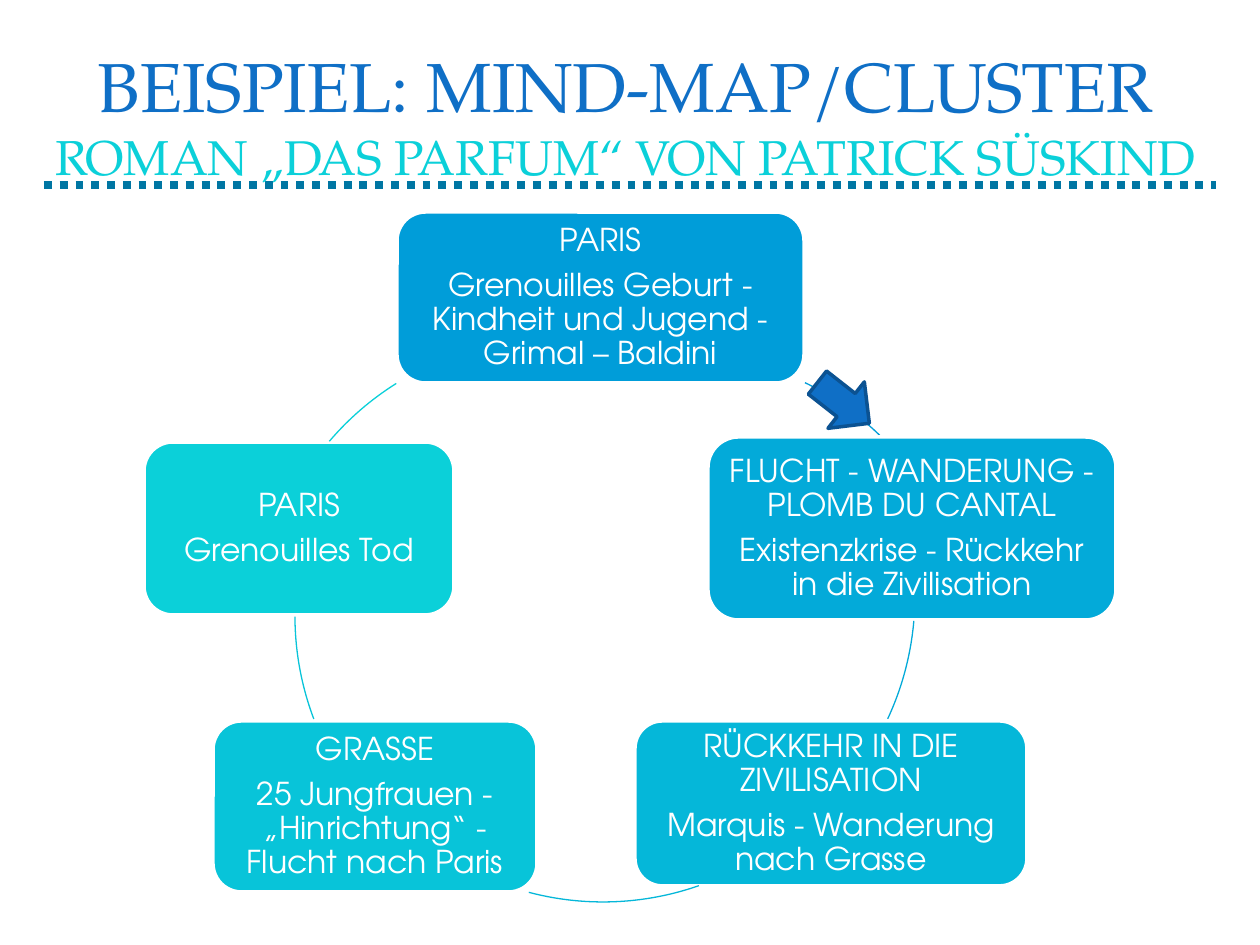
"""Builds a slide with a circular mind map of the novel's stations."""
from math import atan2, degrees

from lxml.etree import SubElement
from pptx import Presentation
from pptx.dml.color import RGBColor
from pptx.enum.dml import MSO_LINE
from pptx.enum.shapes import MSO_CONNECTOR, MSO_SHAPE
from pptx.enum.text import MSO_ANCHOR, PP_ALIGN
from pptx.oxml.ns import qn
from pptx.util import Emu, Pt

TITLE = [("BEISPIEL: MIND-MAP/CLUSTER", "title"),
         ("ROMAN „DAS PARFUM“ VON PATRICK SÜSKIND", "subtitle")]
TITLE_BOX = (25, 45, 1201, 139)
RULE = (44, 185, 1216, 185)
ARROW_BOX = (814, 370, 59, 66)
ARROW_ROTATION = 308.1
RING_SIZE = 582

STATIONS = [
    {"heading": "PARIS",
     "detail": "Grenouilles Geburt - Kindheit und Jugend - Grimal – Baldini",
     "color": "009DD9", "box": (397, 212, 407, 171),
     "ring": (386, 353), "arc": ((805, 383), (880, 435))},
    {"heading": "FLUCHT - WANDERUNG - PLOMB DU CANTAL",
     "detail": "Existenzkrise - Rückkehr in die Zivilisation",
     "color": "03AAD9", "box": (708, 437, 408, 183),
     "ring": (333, 305), "arc": ((915, 621), (888, 719))},
    {"heading": "RÜCKKEHR IN DIE ZIVILISATION",
     "detail": "Marquis - Wanderung nach Grasse",
     "color": "05B7D9", "box": (635, 721, 392, 165),
     "ring": (312, 320), "arc": ((699, 886), (529, 892))},
    {"heading": "GRASSE",
     "detail": "25 Jungfrauen - „Hinrichtung“ - Flucht nach Paris",
     "color": "08C4D9", "box": (213, 721, 324, 171),
     "ring": (295, 325), "arc": ((314, 719), (295, 616))},
    {"heading": "PARIS", "detail": "Grenouilles Tod",
     "color": "0BD0D9", "box": (144, 442, 310, 173),
     "ring": (260, 339), "arc": ((329, 441), (396, 383))},
]

THEME = {
    "title": {"name": "TeX Gyre Pagella", "size": Pt(39.6), "color": "0F6FC6"},
    "subtitle": {"name": "TeX Gyre Pagella", "size": Pt(27.9), "color": "0BD0D9"},
    "station": {"name": "TeX Gyre Adventor", "size": Pt(18), "color": "FFFFFF"},
    "rule": "0076A3", "border": "FFFFFF",
    "arrow": "0F6FC6", "arrow_border": "0B5292",
}


def px(value):
    return Emu(round(value * 914400 / 126))


def set_values(target, **values):
    for name, value in values.items():
        setattr(target, name, value)


def style_line(line, color, width):
    line.color.rgb = RGBColor.from_string(color)
    line.width = Pt(width)


def add_run(paragraph, text, style):
    run = paragraph.add_run()
    run.text = text
    set_values(run.font, name=style["name"], size=style["size"])
    run.font.color.rgb = RGBColor.from_string(style["color"])


def add_filled_shape(slide, kind, box, fill, border):
    shape = slide.shapes.add_shape(kind, *map(px, box))
    shape.shadow.inherit = False
    shape.fill.solid()
    shape.fill.fore_color.rgb = RGBColor.from_string(fill)
    style_line(shape.line, border, 2)
    return shape


def add_rule(slide):
    rule = slide.shapes.add_connector(MSO_CONNECTOR.STRAIGHT, *map(px, RULE))
    style_line(rule.line, THEME["rule"], 4.5)
    rule.line.dash_style = MSO_LINE.ROUND_DOT
    SubElement(rule._element.spPr, qn("a:effectLst"))


def add_title(slide):
    frame = slide.shapes.add_textbox(*map(px, TITLE_BOX)).text_frame
    set_values(frame, word_wrap=True, vertical_anchor=MSO_ANCHOR.MIDDLE)
    paragraph = frame.paragraphs[0]
    paragraph.alignment = PP_ALIGN.CENTER
    for index, (text, style) in enumerate(TITLE):
        if index:
            paragraph.add_line_break()
        add_run(paragraph, text, THEME[style])


def add_station(slide, station):
    shape = add_filled_shape(slide, MSO_SHAPE.ROUNDED_RECTANGLE, station["box"],
                             station["color"], THEME["border"])
    frame = shape.text_frame
    inset = px(9)
    set_values(frame, word_wrap=True, vertical_anchor=MSO_ANCHOR.MIDDLE,
               margin_left=inset, margin_right=inset,
               margin_top=inset, margin_bottom=inset)
    paragraphs = [frame.paragraphs[0], frame.add_paragraph()]
    for paragraph, part in zip(paragraphs, ("heading", "detail")):
        set_values(paragraph, alignment=PP_ALIGN.CENTER, line_spacing=0.9,
                   space_after=Pt(6.3))
        add_run(paragraph, station[part], THEME["station"])


def add_arc(slide, station):
    left, top = station["ring"]
    radius = RING_SIZE / 2
    arc = slide.shapes.add_shape(
        MSO_SHAPE.ARC, *map(px, (left, top, RING_SIZE, RING_SIZE)))
    arc.shadow.inherit = False
    arc.fill.background()
    style_line(arc.line, station["color"], 0.75)
    for index, (x, y) in enumerate(station["arc"]):
        angle = degrees(atan2(y - top - radius, x - left - radius)) % 360
        arc.adjustments[index] = angle * 0.6


def main():
    presentation = Presentation()
    set_values(presentation, slide_width=px(1260), slide_height=px(945))
    slide = presentation.slides.add_slide(presentation.slide_layouts[6])
    add_rule(slide)
    add_title(slide)
    for station in STATIONS:
        add_station(slide, station)
        add_arc(slide, station)
    arrow = add_filled_shape(slide, MSO_SHAPE.DOWN_ARROW, ARROW_BOX,
                             THEME["arrow"], THEME["arrow_border"])
    arrow.rotation = ARROW_ROTATION
    presentation.save("out.pptx")


if __name__ == "__main__":
    main()
